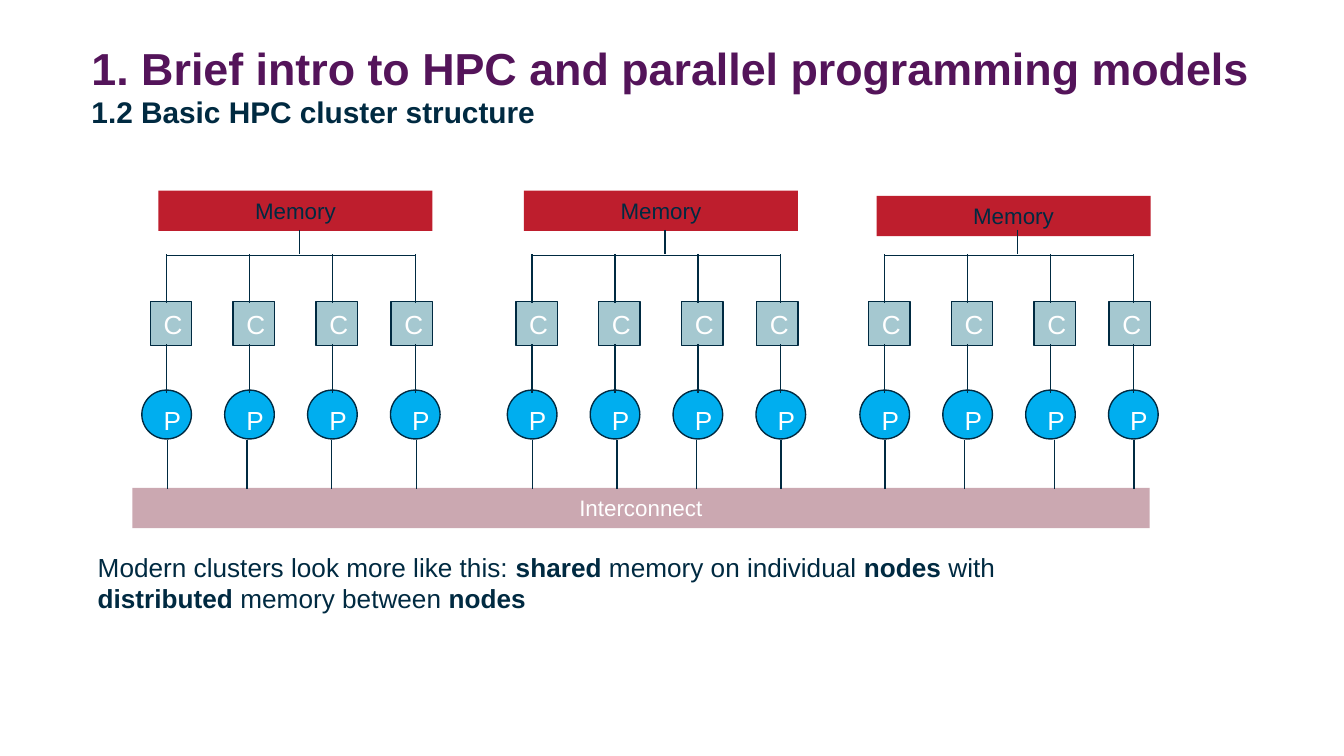
from lxml import etree
from pptx import Presentation
from pptx import util as u
from pptx.dml.color import RGBColor
from pptx.enum import shapes, text
from pptx.oxml import ns

PURPLE = RGBColor(0x54, 0x14, 0x5A)
NAVY = RGBColor(0x00, 0x2A, 0x41)
RED = RGBColor(0xBE, 0x1E, 0x2D)
TEAL = RGBColor(0xA5, 0xC8, 0xD0)
BLUE = RGBColor(0x00, 0xAE, 0xEF)
PINK = RGBColor(0xCB, 0xA8, 0xB1)
WHITE = RGBColor(0xFF, 0xFF, 0xFF)

RECTANGLE = shapes.MSO_SHAPE.RECTANGLE
OVAL = shapes.MSO_SHAPE.OVAL
LEFT = text.PP_ALIGN.LEFT
CENTER = text.PP_ALIGN.CENTER


def add_block(parent, kind, box, fill=None, outlined=False, lines=(), align=LEFT):
    box = [u.Pt(length) for length in box]
    if kind is None:
        shape = parent.add_textbox(*box)
    else:
        shape = parent.add_shape(kind, *box)
        shape.shadow.inherit = False
        shape.fill.solid()
        shape.fill.fore_color.rgb = fill
        if outlined:
            shape.line.color.rgb = NAVY
            shape.line.width = u.Pt(0.75)
        else:
            shape.line.fill.background()
    frame = shape.text_frame
    frame.word_wrap = True
    frame.vertical_anchor = text.MSO_ANCHOR.TOP
    paragraph = frame.paragraphs[0]
    paragraph.alignment = align
    for index, line in enumerate(lines):
        if index:
            paragraph.add_line_break()
        for words, size, color, bold in line:
            run = paragraph.add_run()
            run.text = words
            run.font.name = "Arial"
            run.font.size = u.Pt(size)
            run.font.color.rgb = color
            run.font.bold = bold
    return shape


def add_line(parent, x1, y1, x2, y2):
    line = parent.add_connector(
        shapes.MSO_CONNECTOR.STRAIGHT, u.Pt(x1), u.Pt(y1), u.Pt(x2), u.Pt(y2))
    line.line.color.rgb = NAVY
    line.line.width = u.Pt(0.75)
    etree.SubElement(line._element.spPr, ns.qn("a:effectLst"))


presentation = Presentation()
presentation.slide_width = u.Pt(720)
presentation.slide_height = u.Pt(405)
slide = presentation.slides.add_slide(presentation.slide_layouts[6])

title = add_block(slide.shapes, None, (49, 21.6, 622, 67.7), lines=[
    [("1. Brief intro to HPC and parallel programming models", 24, PURPLE, True)],
    [("1.2 Basic HPC cluster structure", 16, NAVY, True)]])
frame = title.text_frame
frame.margin_left = frame.margin_right = frame.margin_top = frame.margin_bottom = 0

add_block(slide.shapes, RECTANGLE, (70.9, 261.4, 545, 21.6), PINK,
          lines=[[("Interconnect", 12, WHITE, False)]], align=CENTER)

PITCH = 44.4
CACHE_OFFSETS = (-8.7, 35.6, 80, 120.2)
NODES = (
    (89.3, 102.2, (89.8, 132.4, 177.7, 223)),
    (285.1, 102.2, (285.2, 330.5, 373.1, 418.4)),
    (474, 105, (474.2, 516.8, 564.8, 607.6)),
)

for bus_left, memory_top, link_positions in NODES:
    node = slide.shapes.add_group_shape().shapes
    for column in range(4):
        x = bus_left + column * PITCH
        add_block(node, OVAL, (x - 13.3, 209, 26.6, 26.2), BLUE, True)
        add_block(node, None, (x - 8.8, 213.3, 18, 23.8),
                  lines=[[("P", 14, WHITE, False)]])
    for offset in CACHE_OFFSETS:
        add_block(node, RECTANGLE, (bus_left + offset, 161.5, 22.2, 23.8), TEAL, True,
                  lines=[[("C", 14, WHITE, False)]])
    for column in range(4):
        x = bus_left + column * PITCH
        add_line(node, x, 136.2, x, 162.5)
        add_line(node, x, 184.5, x, 210.8)
    add_block(node, RECTANGLE, (bus_left - 4.4, memory_top, 146.8, 21.6), RED,
              lines=[[("Memory", 12, NAVY, False)]], align=CENTER)
    add_line(node, bus_left, 136.9, bus_left + 3 * PITCH, 136.9)
    add_line(node, bus_left + 71.2, 123.2, bus_left + 71.2, 136.2)
    for x in link_positions:
        add_line(slide.shapes, x, 235.5, x, 262)

caption = (
    ("Modern clusters look more like this: ", False), ("shared ", True),
    ("memory on individual ", False), ("nodes", True), (" with ", False),
    ("distributed", True), (" memory between ", False), ("nodes", True))
add_block(slide.shapes, None, (45.3, 291.8, 568.8, 41),
          lines=[[(words, 14, NAVY, bold) for words, bold in caption]])

presentation.save("out.pptx")
